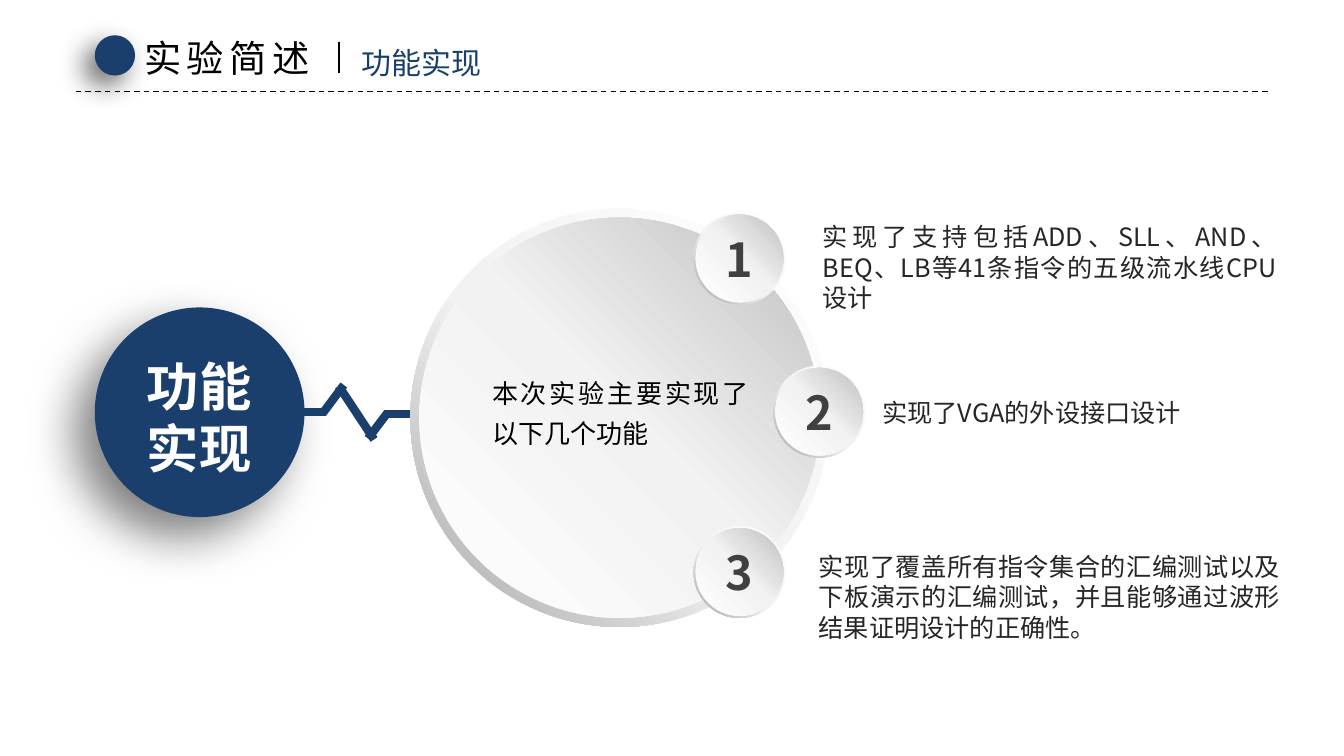
"""Builds a slide that sums up three features of a CPU lab project."""
from copy import deepcopy
from dataclasses import dataclass
from typing import Any

from lxml.etree import SubElement
from pptx import Presentation
from pptx.dml.color import RGBColor
from pptx.enum.dml import MSO_LINE
from pptx.enum.shapes import MSO_CONNECTOR, MSO_SHAPE
from pptx.enum.text import MSO_ANCHOR, MSO_AUTO_SIZE, PP_ALIGN
from pptx.oxml.ns import qn
from pptx.util import Pt

SCALE = 9144
FONT = "Noto Sans CJK SC"
HEX = {"black": "000000", "navy": "1A3F6C", "white": "FFFFFF", "pale": "F2F2F2",
       "gray": "A6A6A6", "silver": "BFBFBF", "coal": "404040", "ink": "262626"}
SIDES = ("margin_left", "margin_top", "margin_right", "margin_bottom")
LEFT, MID, FULL = PP_ALIGN.LEFT, PP_ALIGN.CENTER, PP_ALIGN.JUSTIFY
RIM = ((0, "white"), (0.55, "pale"), (1, "gray"))
FACE = ((0, "white"), (0.51, "pale"), (1, "silver"))


@dataclass
class Style:
    size: float
    color: str
    bold: bool = False
    align: Any = LEFT
    space: float | None = None
    track: int = 0


@dataclass
class Note:
    box: tuple[int, int, int, int]
    lines: tuple[str, ...]
    style: Style
    wrap: bool = True
    inset: bool = False


@dataclass
class Line:
    ends: tuple[int, int, int, int]
    color: str
    width: float
    dash: Any = None


@dataclass
class Ball:
    box: tuple[int, int, int, int]
    alpha: int
    blur: int
    dist: int


@dataclass
class Disc:
    left: int
    top: int
    size: int
    rim: int
    label: str = ""


BODY = Style(18, "ink", align=FULL)
HEAD = Note((133, 30, 192, 55), ("实验简述",), Style(26.6, "black", track=400), False, True)
NOTES = (
    Note((349, 39, 140, 46), ("功能实现",), Style(21.4, "navy"), False, True),
    Note((145, 351, 105, 126), ("功能", "实现"), Style(37.4, "white", True, MID), False),
    Note((816, 220, 450, 61),
         ("实现了支持包括ADD、SLL、AND、BEQ、LB等41条指令的五级流水线CPU设计",), BODY),
    Note((875, 394, 416, 30), ("实现了VGA的外设接口设计",), BODY),
    Note((812, 547, 458, 91),
         ("实现了覆盖所有指令集合的汇编测试以及下板演示的汇编测试，"
          "并且能够通过波形结果证明设计的正确性。",), BODY),
    Note((488, 365, 255, 82), ("本次实验主要实现了以下几个功能",),
         Style(18.6, "black", align=FULL, space=1.3)),
)
RULES = (Line((75, 91, 1258, 91), "black", 1, MSO_LINE.DASH),
         Line((336, 42, 336, 72), "black", 1.5))
PULSE = tuple(Line(ends, "navy", 6) for ends in (
    (257, 409, 323, 409), (381, 411, 436, 411), (320, 410, 341, 382),
    (365, 435, 384, 410), (371, 436, 336, 383)))
BALLS = (Ball((94, 35, 40, 40), 60, 20, 10), Ball((94, 305, 208, 208), 50, 35, 20))
DISCS = (Disc(407, 207, 415, 9), Disc(688, 211, 91, 2, "1"),
         Disc(767, 363, 91, 2, "2"), Disc(688, 522, 91, 2, "3"))


def px(*vals: int) -> list[int]:
    """Turn px into EMU."""
    return [val * SCALE for val in vals]


def tint(name: str) -> RGBColor:
    """Look up a colour."""
    return RGBColor.from_string(HEX[name])


def apply(item: Any, form: dict[str, Any]) -> None:
    """Set each format value on an item."""
    for key, val in form.items():
        setattr(item, key, val)


def write(frame: Any, lines: tuple[str, ...], style: Style) -> None:
    """Fill a text frame with styled lines."""
    for num, text in enumerate(lines):
        para = frame.add_paragraph() if num else frame.paragraphs[0]
        apply(para, {"alignment": style.align, "line_spacing": style.space})
        run = para.add_run()
        run.text = text
        apply(run.font, {"size": Pt(style.size), "bold": style.bold, "name": FONT})
        run.font.color.rgb = tint(style.color)
        props = run._r.get_or_add_rPr()
        SubElement(props, qn("a:ea"), typeface=FONT)
        if style.track:
            props.set("spc", str(style.track))


def place(shape: Any, note: Note) -> None:
    """Move a text shape and write its note."""
    apply(shape, dict(zip(("left", "top", "width", "height"), px(*note.box))))
    frame = shape.text_frame
    apply(frame, {"word_wrap": note.wrap, "vertical_anchor": MSO_ANCHOR.TOP,
                  "auto_size": MSO_AUTO_SIZE.SHAPE_TO_FIT_TEXT})
    if not note.inset:
        apply(frame, dict.fromkeys(SIDES, 0))
    write(frame, note.lines, note.style)


def draw(shapes: Any, line: Line) -> None:
    """Draw a straight line."""
    link = shapes.add_connector(MSO_CONNECTOR.STRAIGHT, *px(*line.ends))
    link.line.color.rgb = tint(line.color)
    apply(link.line, {"width": Pt(line.width), "dash_style": line.dash})
    SubElement(link._element.spPr, qn("a:effectLst"))


def plain(shapes: Any, kind: Any, box: tuple[int, int, int, int]) -> Any:
    """Add a shape without line or shadow."""
    shape = shapes.add_shape(kind, *px(*box))
    shape.line.fill.background()
    shape.shadow.inherit = False
    return shape


def cast(shapes: Any, ball: Ball) -> None:
    """Add a navy ball with a soft shadow."""
    shape = plain(shapes, MSO_SHAPE.OVAL, ball.box)
    shape.fill.solid()
    shape.fill.fore_color.rgb = tint("navy")
    glow = SubElement(shape._element.spPr.find(qn("a:effectLst")), qn("a:outerShdw"),
                      blurRad=str(Pt(ball.blur)), dist=str(Pt(ball.dist)),
                      dir=str(135 * 60000), algn="ctr", rotWithShape="0")
    color = SubElement(glow, qn("a:srgbClr"), val=HEX["black"])
    SubElement(color, qn("a:alpha"), val=str(ball.alpha * 1000))


def shade(shape: Any, stops: tuple[tuple[float, str], ...], angle: int) -> None:
    """Give a shape a three-stop gradient."""
    shape.fill.gradient()
    shape.fill.gradient_angle = angle
    row = shape._element.spPr.find(".//" + qn("a:gsLst"))
    row.append(deepcopy(row[0]))
    for stop, (spot, name) in zip(shape.fill.gradient_stops, stops):
        stop.position = spot
        stop.color.rgb = tint(name)


def mount(shapes: Any, disc: Disc) -> None:
    """Add a rimmed disc with its label."""
    group = shapes.add_group_shape().shapes
    ring = plain(group, MSO_SHAPE.DONUT, (disc.left, disc.top, disc.size, disc.size))
    ring.adjustments[0] = 0.049
    shade(ring, RIM, 225)
    core = disc.size - 2 * disc.rim
    face = plain(group, MSO_SHAPE.OVAL,
                 (disc.left + disc.rim, disc.top + disc.rim, core, core))
    shade(face, FACE, 45)
    if disc.label:
        face.text_frame.vertical_anchor = MSO_ANCHOR.MIDDLE
        write(face.text_frame, (disc.label,), Style(33.4, "coal", True, MID))


def main() -> None:
    """Build and save the slide."""
    deck = Presentation()
    deck.slide_width, deck.slide_height = px(1333, 750)
    shapes = deck.slides.add_slide(deck.slide_layouts[5]).shapes
    place(shapes.title, HEAD)
    for line in RULES:
        draw(shapes, line)
    for ball in BALLS:
        cast(shapes, ball)
    pulse = shapes.add_group_shape().shapes
    for line in PULSE:
        draw(pulse, line)
    for disc in DISCS:
        mount(shapes, disc)
    for note in NOTES:
        place(shapes.add_textbox(0, 0, 0, 0), note)
    deck.save("out.pptx")


if __name__ == "__main__":
    main()
